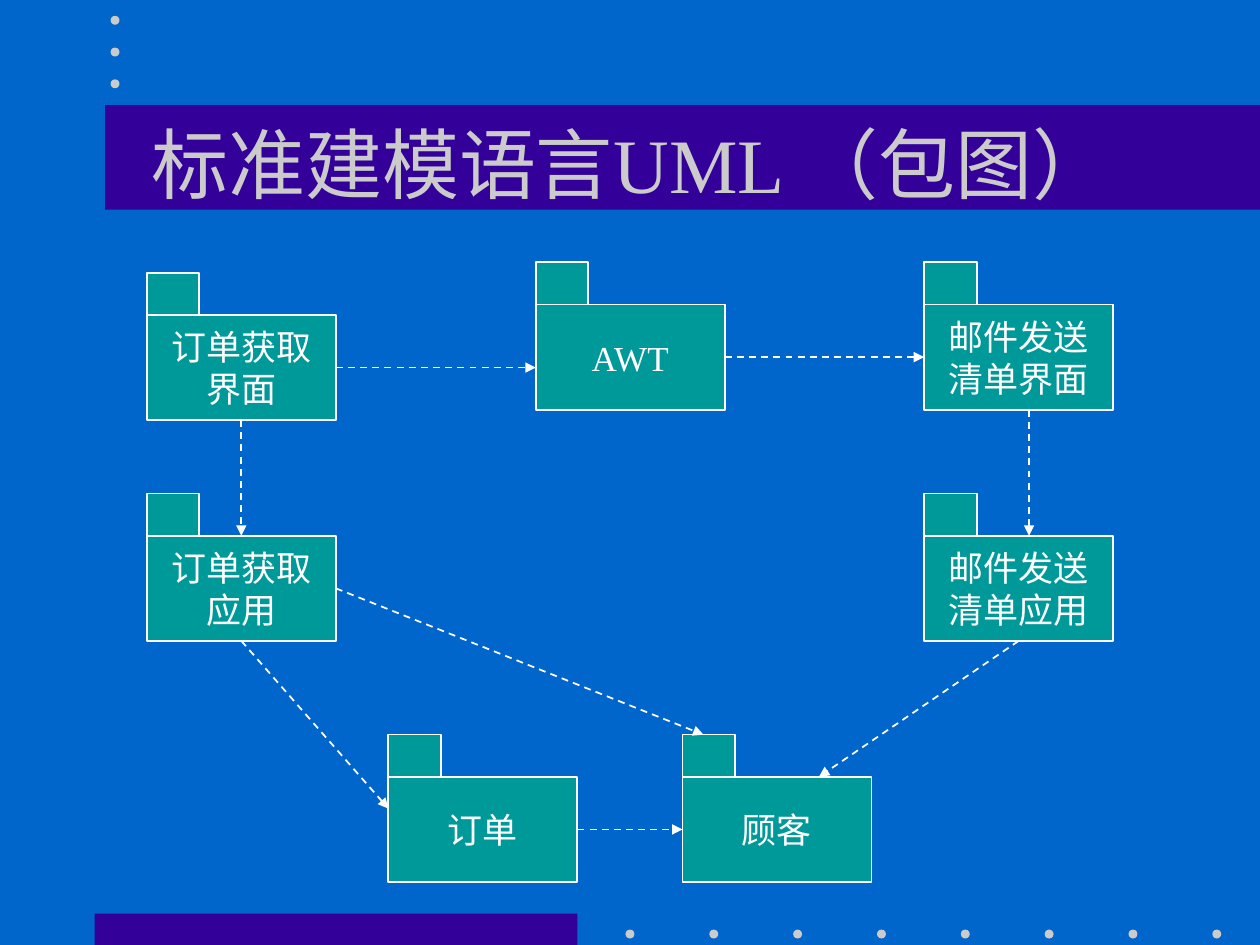
from lxml import etree
from pptx import Presentation
from pptx.dml.color import RGBColor
from pptx.enum.dml import MSO_LINE
from pptx.enum.shapes import MSO_CONNECTOR, MSO_SHAPE
from pptx.enum.text import MSO_ANCHOR, MSO_AUTO_SIZE, PP_ALIGN
from pptx.oxml.ns import qn
from pptx.util import Cm, Pt

RECT, OVAL = MSO_SHAPE.RECTANGLE, MSO_SHAPE.OVAL
STRAIGHT, DASH = MSO_CONNECTOR.STRAIGHT, MSO_LINE.DASH
MIDDLE, CENTER = MSO_ANCHOR.MIDDLE, PP_ALIGN.CENTER
FONT = "Times New Roman"
COLORS = {k: RGBColor.from_string(v) for k, v in {
    "background": "0066CC", "band": "330099", "grey": "CBCBCB",
    "package": "009999", "white": "FFFFFF"}.items()}


def add_box(kind, x, y, w, h, fill, line=None):
    sp = s.shapes.add_shape(kind, Cm(x), Cm(y), Cm(w), Cm(h))
    sp.shadow.inherit = False
    sp.fill.solid()
    sp.fill.fore_color.rgb = COLORS[fill]
    if line:
        sp.line.color.rgb = COLORS[line]
        sp.line.width = Pt(1)
    else:
        sp.line.fill.background()
    return sp


def add_run(p, text, size, color):
    p.alignment = CENTER
    r = p.add_run()
    r.text = text
    r.font.name = FONT
    r.font.size = Pt(size)
    r.font.color.rgb = COLORS[color]


prs = Presentation()
prs.slide_width, prs.slide_height = Cm(25.4), Cm(19.05)
s = prs.slides.add_slide(prs.slide_layouts[5])
s.background.fill.solid()
s.background.fill.fore_color.rgb = COLORS["background"]

# Bands and rows of dots
add_box(RECT, 1.91, 18.42, 9.73, 0.63, "band")
add_box(RECT, 2.12, 2.12, 23.28, 2.11, "band")
dots = [(12.61 + 1.69 * i, 18.74) for i in range(8)]
dots += [(2.23, 0.32 + 0.64 * i) for i in range(3)]
for x, y in dots:
    add_box(OVAL, x, y, 0.18, 0.18, "grey")

# Title, brought in front of its band
title = s.shapes.title
title.left, title.top, title.width, title.height = Cm(1.91), Cm(1.69), Cm(21.59), Cm(3.18)
tf = title.text_frame
tf.auto_size = MSO_AUTO_SIZE.NONE
tf.vertical_anchor = MIDDLE
add_run(tf.paragraphs[0], "标准建模语言UML （包图）", 44, "grey")
title.element.getparent().append(title.element)

# Packages: a body with a tab on its upper left corner
W, H = 3.81, 2.12
TAB_W, TAB_H = 1.06, 0.85
packages = {
    "order_ui": (2.96, 6.35, ["订单获取", "界面"]),
    "order_app": (2.96, 10.8, ["订单获取", "应用"]),
    "awt": (10.8, 6.14, ["AWT"]),
    "mail_ui": (18.63, 6.14, ["邮件发送", "清单界面"]),
    "mail_app": (18.63, 10.8, ["邮件发送", "清单应用"]),
    "order": (7.83, 15.66, ["订单"]),
    "customer": (13.76, 15.66, ["顾客"]),
}
for x, y, lines in packages.values():
    sp = add_box(RECT, x, y, W, H, "package", "white")
    tf = sp.text_frame
    tf.word_wrap = False
    tf.vertical_anchor = MIDDLE
    for i, text in enumerate(lines):
        p = tf.paragraphs[0] if i == 0 else tf.add_paragraph()
        add_run(p, text, 20, "white")
    add_box(RECT, x, y - TAB_H, TAB_W, TAB_H, "package", "white")

# Dependencies: each end is a package and an offset from its corner
dependencies = [
    ("order_ui", W / 2, H, "order_app", W / 2, 0),
    ("order_ui", W, H / 2, "awt", 0, 1.27),
    ("awt", W, H / 2, "mail_ui", 0, H / 2),
    ("mail_ui", W / 2 + 0.21, H, "mail_app", W / 2 + 0.21, 0),
    ("mail_app", W / 2, H, "customer", 2.75, 0),
    ("order_app", W / 2, H, "order", 0, 0.64),
    ("order_app", W, H / 2, "customer", 0.42, -TAB_H),
    ("order", W, H / 2, "customer", 0, H / 2),
]
for start, dx1, dy1, end, dx2, dy2 in dependencies:
    x1, y1, _ = packages[start]
    x2, y2, _ = packages[end]
    cn = s.shapes.add_connector(STRAIGHT, Cm(x1 + dx1), Cm(y1 + dy1),
                                Cm(x2 + dx2), Cm(y2 + dy2))
    cn.line.color.rgb = COLORS["white"]
    cn.line.width = Pt(1)
    cn.line.dash_style = DASH
    sp_pr = cn.element.spPr
    etree.SubElement(sp_pr.find(qn("a:ln")), qn("a:tailEnd"), type="triangle")
    etree.SubElement(sp_pr, qn("a:effectLst"))

prs.save("out.pptx")
